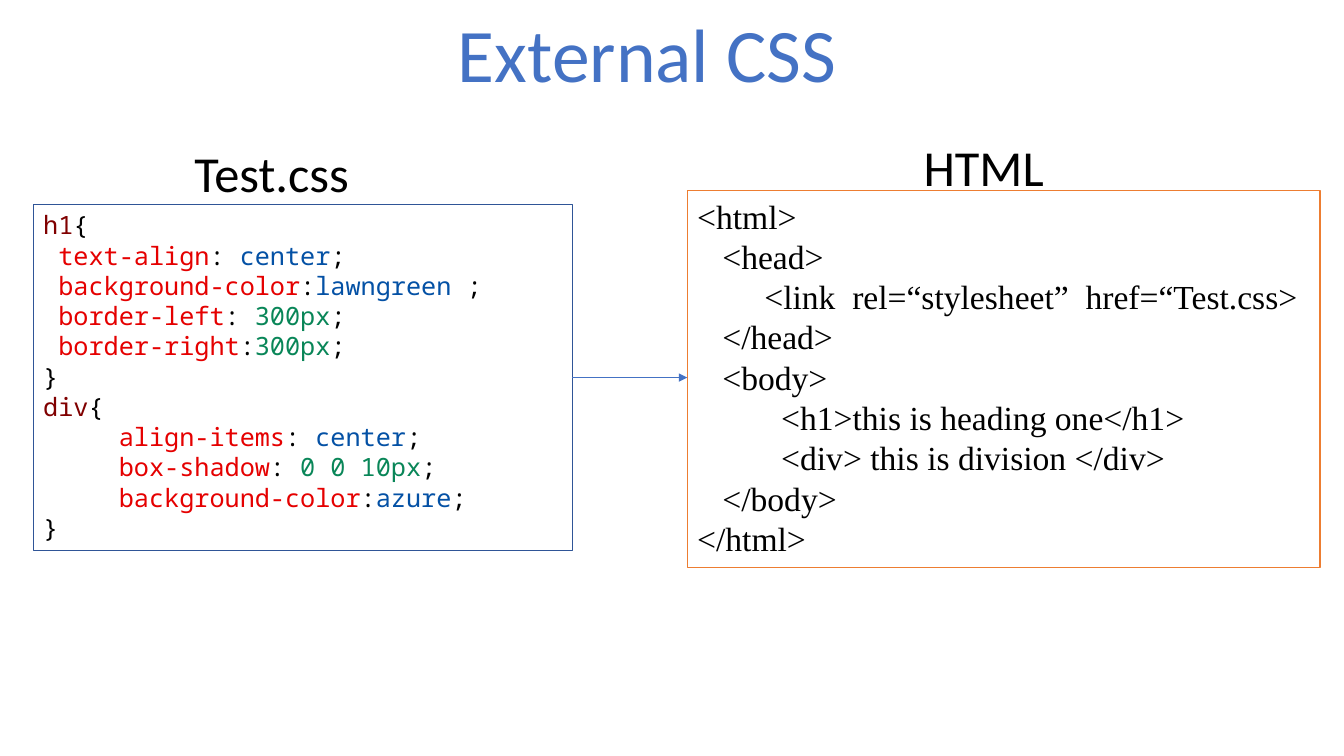
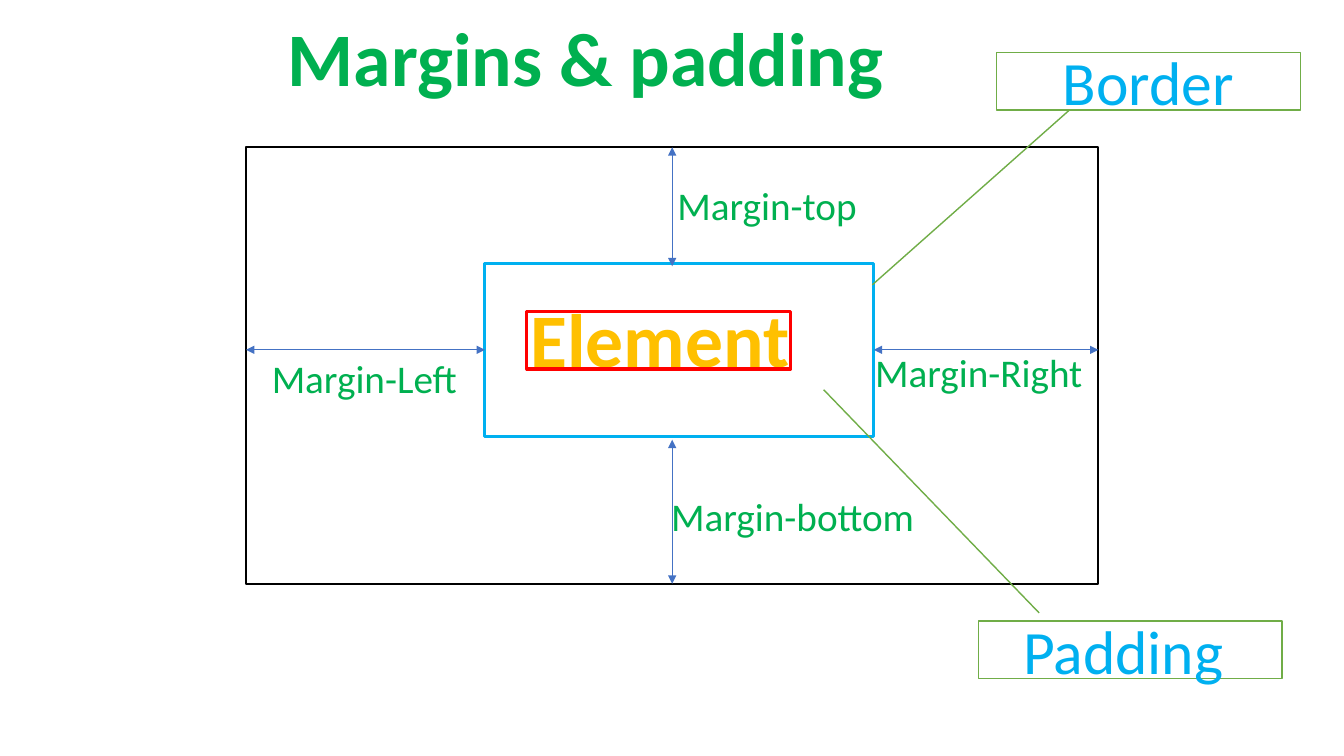
from dataclasses import dataclass

from lxml import etree
from pptx import Presentation, slide as sl, util as u
from pptx.dml.color import RGBColor
from pptx.enum import shapes, text
from pptx.oxml.ns import qn

COLORS = {
    "white": "FFFFFF", "black": "000000", "blue": "4472C4", "navy": "2F5597",
    "orange": "ED7D31", "olive": "70AD47", "green": "00B050", "sky": "00B0F0",
    "gold": "FFC000", "red": "FF0000",
    "selector": "800000", "property": "E50000", "keyword": "0451A5",
    "number": "098658",
}


@dataclass(frozen=True)
class Box:
    """A rectangle in centimetres."""
    left: float
    top: float
    width: float
    height: float

    @property
    def right(self) -> float:
        return self.left + self.width

    @property
    def bottom(self) -> float:
        return self.top + self.height

    @property
    def center(self) -> float:
        return self.left + self.width / 2

    @property
    def middle(self) -> float:
        return self.top + self.height / 2

    def lengths(self) -> tuple[u.Cm, ...]:
        return tuple(u.Cm(n) for n in (self.left, self.top, self.width, self.height))


@dataclass(frozen=True)
class Style:
    size: int
    color: str = "black"
    font: str = "Calibri"
    bold: bool = False


@dataclass(frozen=True)
class Line:
    """One line of code: its indent in characters and its (text, colour) runs."""
    indent: int
    runs: tuple[tuple[str, str], ...]


@dataclass(frozen=True)
class Label:
    text: str
    box: Box
    style: Style


@dataclass(frozen=True)
class Callout:
    text: str
    box: Box
    adjustments: tuple[float, ...]


FILE_NAME = Style(36)
MARGIN = Style(28, "green")
CALLOUT = Style(44, "sky")
CSS = Style(18, font="Noto Sans Mono")
HTML = Style(24, font="Times New Roman")


def rgb(name: str) -> RGBColor:
    return RGBColor.from_string(COLORS[name])


# Text
def add_run(paragraph, words: str, style: Style, color: str = "") -> None:
    run = paragraph.add_run()
    run.text = words
    run.font.name = style.font
    run.font.size = u.Pt(style.size)
    run.font.bold = style.bold
    run.font.color.rgb = rgb(color or style.color)


def write_label(shape, words: str, style: Style, anchor=text.MSO_ANCHOR.TOP) -> None:
    frame = shape.text_frame
    frame.word_wrap = False
    frame.auto_size = text.MSO_AUTO_SIZE.NONE
    frame.vertical_anchor = anchor
    paragraph = frame.paragraphs[0]
    paragraph.alignment = text.PP_ALIGN.CENTER
    add_run(paragraph, words, style)


def write_code(shape, lines: list[Line], style: Style, char_width: float) -> None:
    frame = shape.text_frame
    frame.word_wrap = True
    frame.vertical_anchor = text.MSO_ANCHOR.TOP
    for index, line in enumerate(lines):
        paragraph = frame.add_paragraph() if index else frame.paragraphs[0]
        paragraph.alignment = text.PP_ALIGN.LEFT
        indent = u.Pt(line.indent * char_width * style.size)
        paragraph._p.get_or_add_pPr().set("marL", str(int(indent)))
        for words, color in line.runs:
            add_run(paragraph, words, style, color)


# Shapes
def add_title_slide(presentation, words: str, box: Box, style: Style) -> sl.Slide:
    slide = presentation.slides.add_slide(presentation.slide_layouts[5])
    title = slide.shapes.title
    title.left, title.top, title.width, title.height = box.lengths()
    write_label(title, words, style)
    return slide


def add_label(slide: sl.Slide, label: Label) -> None:
    write_label(slide.shapes.add_textbox(*label.box.lengths()), label.text, label.style)


def add_frame(slide: sl.Slide, box: Box, color: str, weight: float, fill: str = "",
              kind=shapes.MSO_SHAPE.RECTANGLE):
    shape = slide.shapes.add_shape(kind, *box.lengths())
    shape.shadow.inherit = False
    if fill:
        shape.fill.solid()
        shape.fill.fore_color.rgb = rgb(fill)
    else:
        shape.fill.background()
    shape.line.color.rgb = rgb(color)
    shape.line.width = u.Pt(weight)
    return shape


def add_callout(slide: sl.Slide, callout: Callout) -> None:
    shape = add_frame(slide, callout.box, "olive", 1, "white",
                      shapes.MSO_SHAPE.LINE_CALLOUT_1)
    for index, value in enumerate(callout.adjustments):
        shape.adjustments[index] = value
    write_label(shape, callout.text, CALLOUT, text.MSO_ANCHOR.MIDDLE)


def add_arrow(slide: sl.Slide, start: tuple[float, float], end: tuple[float, float],
              both_ends: bool = True) -> None:
    arrow = slide.shapes.add_connector(
        shapes.MSO_CONNECTOR.STRAIGHT, *(u.Cm(n) for n in start + end))
    arrow.line.color.rgb = rgb("blue")
    arrow.line.width = u.Pt(0.5)
    line = arrow.line._get_or_add_ln()
    for tag in ("a:headEnd", "a:tailEnd") if both_ends else ("a:tailEnd",):
        etree.SubElement(line, qn(tag), type="triangle")
    etree.SubElement(arrow._element.spPr, qn("a:effectLst"))


# Code listings
def selector(name: str) -> Line:
    return Line(0, ((name, "selector"), ("{", "black")))


def declaration(indent: int, name: str, colon: str, value: str,
                kind: str = "keyword", end: str = ";") -> Line:
    return Line(indent, ((name, "property"), (colon, "black"),
                         (value, kind), (end, "black")))


def plain(indent: int, words: str) -> Line:
    return Line(indent, ((words, "black"),))


CSS_LINES = [
    selector("h1"),
    declaration(1, "text-align", ": ", "center"),
    declaration(1, "background-color", ":", "lawngreen", end=" ;"),
    declaration(1, "border-left", ": ", "300px", "number"),
    declaration(1, "border-right", ":", "300px", "number"),
    plain(0, "}"),
    selector("div"),
    declaration(5, "align-items", ": ", "center"),
    declaration(5, "box-shadow", ": ", "0 0 10px", "number"),
    declaration(5, "background-color", ":", "azure"),
    plain(0, "}"),
]
HTML_LINES = [
    plain(0, "<html>"),
    plain(3, "<head>"),
    plain(8, "<link  rel=“stylesheet”  href=“Test.css>"),
    plain(3, "</head>"),
    plain(3, "<body>"),
    plain(10, "<h1>this is heading one</h1>"),
    plain(10, "<div> this is division </div>"),
    plain(3, "</body>"),
    plain(0, "</html>"),
]


# Slides
def build_external_css(presentation) -> None:
    slide = add_title_slide(presentation, "External CSS",
                            Box(11.13, 0.05, 10.36, 2.57), Style(54, "blue"))
    css_box = Box(0.84, 5.16, 13.58, 8.71)
    html_box = Box(17.32, 4.8, 15.95, 9.5)
    write_code(add_frame(slide, css_box, "navy", 0.75), CSS_LINES, CSS, 0.6)
    write_code(add_frame(slide, html_box, "orange", 1, "white"), HTML_LINES, HTML, 0.25)
    add_arrow(slide, (css_box.right, css_box.middle),
              (html_box.left, css_box.middle), both_ends=False)
    add_label(slide, Label("Test.css", Box(4.62, 3.45, 4.45, 1.8), FILE_NAME))
    add_label(slide, Label("HTML", Box(23.01, 3.3, 3.56, 1.8), FILE_NAME))


def build_margins(presentation) -> None:
    slide = add_title_slide(presentation, "Margins & padding",
                            Box(6.93, 0.15, 15.67, 2.57), Style(54, "green", bold=True))
    margin = Box(6.2, 3.71, 21.48, 11)
    border = Box(12.22, 6.63, 9.8, 4.37)
    content = Box(13.28, 7.85, 6.65, 1.45)

    # Nested boxes
    add_label(slide, Label("Element", Box(13.08, 7.24, 7.11, 2.57),
                           Style(54, "gold", bold=True)))
    add_frame(slide, margin, "black", 1.5)
    add_frame(slide, border, "sky", 2.25)
    add_frame(slide, content, "red", 2.25)

    # Margin arrows and their labels
    gap = 0.08
    add_arrow(slide, (margin.left, border.middle), (border.left, border.middle))
    add_arrow(slide, (border.right, border.middle), (margin.right, border.middle))
    add_arrow(slide, (margin.center, margin.top), (margin.center, border.top + gap))
    add_arrow(slide, (margin.center, border.bottom + gap), (margin.center, margin.bottom))
    for label in (
        Label("Margin-top", Box(16.79, 4.45, 5.08, 1.45), MARGIN),
        Label("Margin-bottom", Box(16.61, 12.29, 6.73, 1.45), MARGIN),
        Label("Margin-Right", Box(21.77, 8.66, 5.79, 1.45), MARGIN),
        Label("Margin-Left", Box(6.55, 8.81, 5.26, 1.45), MARGIN),
    ):
        add_label(slide, label)

    # Callouts
    for callout in (
        Callout("Border", Box(25.12, 1.32, 7.65, 1.45), (1, 0.24, 4.04, -0.41)),
        Callout("Padding ", Box(24.66, 15.65, 7.65, 1.45), (-0.14, 0.2, -4.02, -0.51)),
    ):
        add_callout(slide, callout)


def main() -> None:
    presentation = Presentation()
    presentation.slide_width, presentation.slide_height = u.Cm(33.87), u.Cm(19.05)
    build_external_css(presentation)
    build_margins(presentation)
    presentation.save("out.pptx")


if __name__ == "__main__":
    main()
